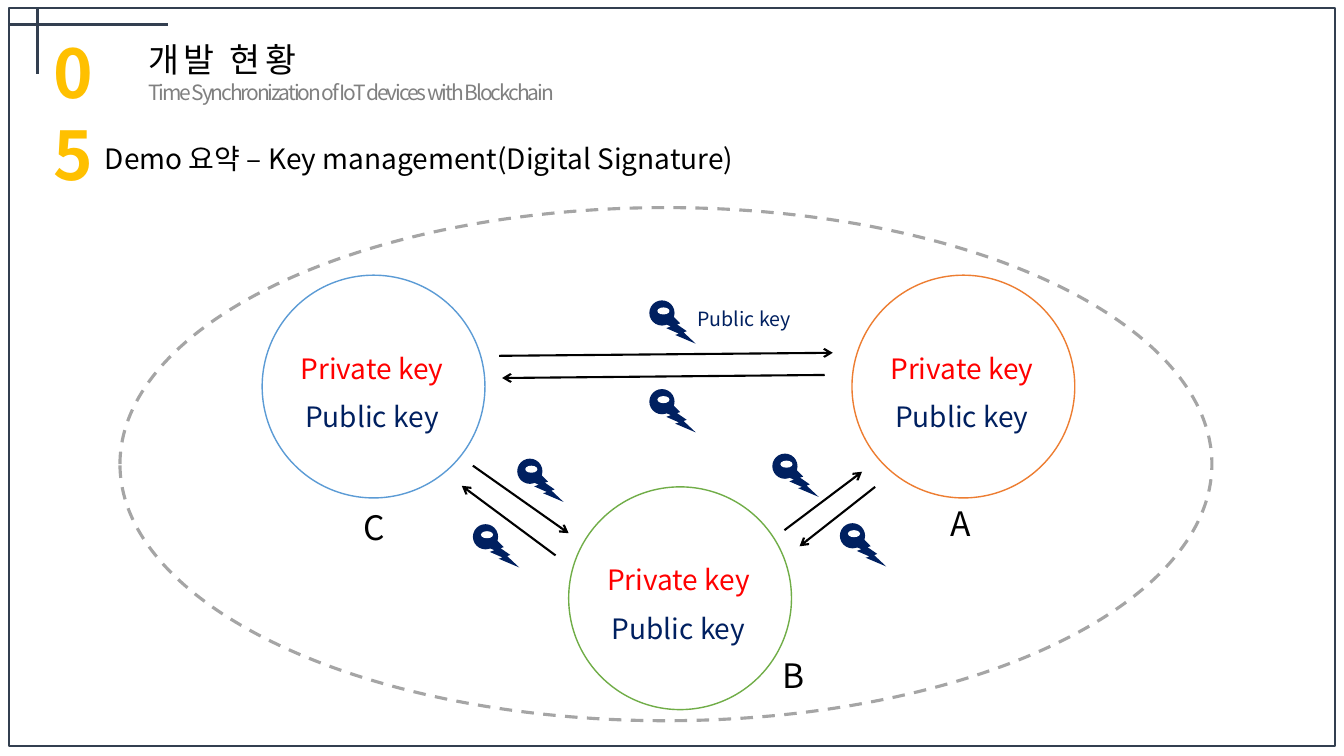
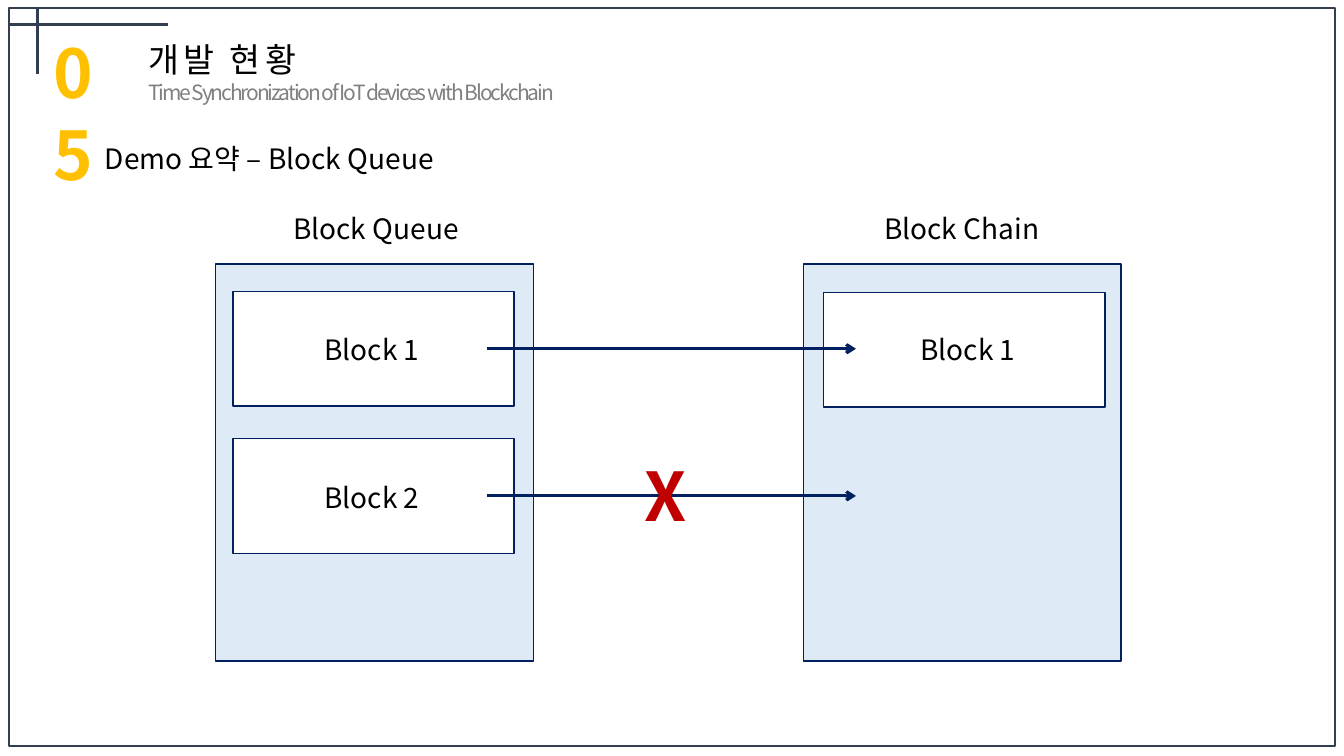
import pptx
import pptx.util
import pptx.dml.color
import pptx.enum.dml
import pptx.enum.shapes
import pptx.enum.text
import pptx.oxml.ns
import lxml.etree

Inches, Pt = pptx.util.Inches, pptx.util.Pt
RGB = pptx.dml.color.RGBColor.from_string
MSO = pptx.enum.shapes.MSO_SHAPE
ALIGN = pptx.enum.text.PP_ALIGN
qn = pptx.oxml.ns.qn

# Theme: font, colours and type sizes
THEME = {
    "font": "Noto Sans CJK KR",
    "black": "000000", "white": "FFFFFF", "grey": "808080", "slate": "333F50",
    "navy": "002060", "red": "FF0000", "dark_red": "C00000", "gold": "FFC000",
    "pale": "DEEBF7", "orange": "ED7D31", "blue": "5B9BD5", "green": "70AD47",
    "silver": "A5A5A5",
    "huge": 48, "title": 24, "body": 20, "subtitle": 15, "small": 14,
    "leading": 1.22,
}


def write(sp, lines, align=ALIGN.LEFT):
    """Fill a text shape; a line is (text, size, colour, bold, letter spacing)."""
    tf = sp.text_frame
    settings = {"word_wrap": True, "auto_size": pptx.enum.text.MSO_AUTO_SIZE.NONE,
                "vertical_anchor": pptx.enum.text.MSO_ANCHOR.TOP}
    for name, value in settings.items():
        setattr(tf, name, value)
    for i, (text, size, colour, bold, spacing) in enumerate(lines):
        p = tf.add_paragraph() if i else tf.paragraphs[0]
        p.alignment = align
        p.line_spacing = Pt(THEME[size] * THEME["leading"])
        r = p.add_run()
        r.text = text
        fmt = {"name": THEME["font"], "size": Pt(THEME[size]), "bold": bold}
        for name, value in fmt.items():
            setattr(r.font, name, value)
        r.font.color.rgb = RGB(THEME[colour])
        rpr = r.font._element
        lxml.etree.SubElement(rpr, qn("a:ea")).set("typeface", THEME["font"])
        if spacing:
            rpr.set("spc", str(int(spacing * 100)))


def draw(shapes, preset, box, fill=None, line=None, width=1, dash=None):
    """Add a preset shape; without a colour its fill or line is left off."""
    sp = shapes.add_shape(preset, *map(Inches, box))
    sp.shadow.inherit = False
    if fill:
        sp.fill.solid()
        sp.fill.fore_color.rgb = RGB(THEME[fill])
    else:
        sp.fill.background()
    if line:
        sp.line.color.rgb = RGB(THEME[line])
        sp.line.width = Pt(width)
        if dash:
            sp.line.dash_style = dash
    else:
        sp.line.fill.background()


# Key exchange: nodes, arrows and key icons
node_size = 2.21
nodes = [(8.45, 2.73, "orange"), (2.6, 2.73, "blue"), (5.64, 4.83, "green")]
key_shapes = [(MSO.OVAL, (1.19, 2.06, 10.83, 5.09), None, "silver", 2.25,
               pptx.enum.dml.MSO_LINE.DASH)]
key_texts = [("Public key", (6.51, 2.99, 1.74, 0.34), "small", "navy", False)]
for x, y, colour in nodes:
    key_shapes.append((MSO.FLOWCHART_CONNECTOR, (x, y, node_size, node_size), None, colour))
    for text, dy, text_colour in [("Private key", 0.7, "red"), ("Public key", 1.18, "navy")]:
        key_texts.append((text, (x + 0.22, y + dy, 1.74, 0.44), "body", text_colour, False))
for letter, x, y in [("A", 9.19, 4.93), ("B", 7.54, 6.44), ("C", 3.38, 4.97)]:
    key_texts.append((letter, (x, y, 0.67, 0.5), "title", "black", False))
key_arrows = [
    (4.95, 3.53, 8.26, 3.5), (8.18, 3.72, 4.98, 3.75),
    (7.78, 5.26, 8.55, 4.68), (8.68, 4.83, 7.93, 5.42),
    (4.69, 4.62, 5.64, 5.29), (5.51, 5.51, 4.58, 4.82),
]
key_icons = [(6.44, 2.98), (6.44, 3.86), (7.66, 4.5), (8.33, 5.19), (5.13, 4.55), (4.69, 5.2)]
icon_parts = [
    (MSO.LIGHTNING_BOLT, 0.08, 0.15, 0.38, 0.28, "navy"),
    (MSO.OVAL, 0, 0, 0.25, 0.25, "navy"),
    (MSO.OVAL, 0.08, 0.07, 0.12, 0.07, "white"),
]

# Block queue: two columns, their blocks and the arrows between them
queue_shapes = [(MSO.RECTANGLE, (x, 2.62, 3.15, 3.94), "pale", "navy") for x in (2.14, 7.97)]
queue_shapes += [(MSO.RECTANGLE, (x, y, 2.79, 1.14), "white", "navy")
                 for x, y in [(2.31, 2.89), (2.31, 4.35), (8.17, 2.9)]]
queue_texts = [(text, (x, y, 3.26, 0.44), "body", "black", False) for text, x, y in [
    ("Block Queue", 2.1, 2.04), ("Block Chain", 7.91, 2.04),
    ("Block 1", 2.06, 3.24), ("Block 2", 2.06, 4.71), ("Block 1", 7.97, 3.24)]]
queue_texts.append(("X", (6.17, 4.44, 0.86, 0.91), "huge", "dark_red", True))
queue_arrows = [(4.83, y, 8.49, y) for y in (3.46, 4.92)]

slides = [
    {"title": "Demo 요약 – Key management(Digital Signature)", "shapes": key_shapes,
     "arrows": key_arrows, "arrow_style": ("black", 1.5), "icons": key_icons,
     "texts": key_texts},
    {"title": "Demo 요약 – Block Queue", "shapes": queue_shapes,
     "arrows": queue_arrows, "arrow_style": ("navy", 2.25), "icons": [],
     "texts": queue_texts},
]

# Header shared by the slides
corner_lines = [(0.37, 0.08, 0.37, 0.73), (0.09, 0.24, 1.67, 0.24)]
frame = (MSO.RECTANGLE, (0.09, 0.08, 13.15, 7.32), None, "slate", 1.5)
header_texts = [
    ((0.43, 0.25, 0.9, 1.75), [("05", "huge", "gold", True, 3)]),
    ((1.37, 0.33, 5.3, 0.76), [
        ("개발 현황", "title", "black", False, 3),
        ("Time Synchronization of IoT devices with Blockchain", "subtitle", "grey", False, -1.5),
    ]),
]

prs = pptx.Presentation()
prs.slide_width, prs.slide_height = Inches(13.33), Inches(7.5)

for content in slides:
    s = prs.slides.add_slide(prs.slide_layouts[5])

    # Title
    title = s.shapes.title
    for name, value in zip(("left", "top", "width", "height"), (0.94, 1.35, 11.33, 0.44)):
        setattr(title, name, Inches(value))
    write(title, [(content["title"], "body", "black", False, 0)])

    # Frame and preset shapes
    for shape in [frame] + content["shapes"]:
        draw(s.shapes, *shape)

    # Corner lines and arrows
    lines = [(ends, "slate", 2.25, False) for ends in corner_lines]
    lines += [(ends, *content["arrow_style"], True) for ends in content["arrows"]]
    for ends, colour, width, arrow in lines:
        c = s.shapes.add_connector(pptx.enum.shapes.MSO_CONNECTOR.STRAIGHT, *map(Inches, ends))
        c.line.color.rgb = RGB(THEME[colour])
        c.line.width = Pt(width)
        if arrow:
            lxml.etree.SubElement(c.line._get_or_add_ln(), qn("a:tailEnd")).set("type", "arrow")
        lxml.etree.SubElement(c._element.spPr, qn("a:effectLst"))

    # Key icons
    for x, y in content["icons"]:
        icon = s.shapes.add_group_shape()
        for preset, dx, dy, w, h, fill in icon_parts:
            draw(icon.shapes, preset, (x + dx, y + dy, w, h), fill)

    # Header and labels
    for box, paragraphs in header_texts:
        write(s.shapes.add_textbox(*map(Inches, box)), paragraphs)
    for text, box, size, colour, bold in content["texts"]:
        write(s.shapes.add_textbox(*map(Inches, box)),
              [(text, size, colour, bold, 0)], ALIGN.CENTER)

prs.save("out.pptx")
